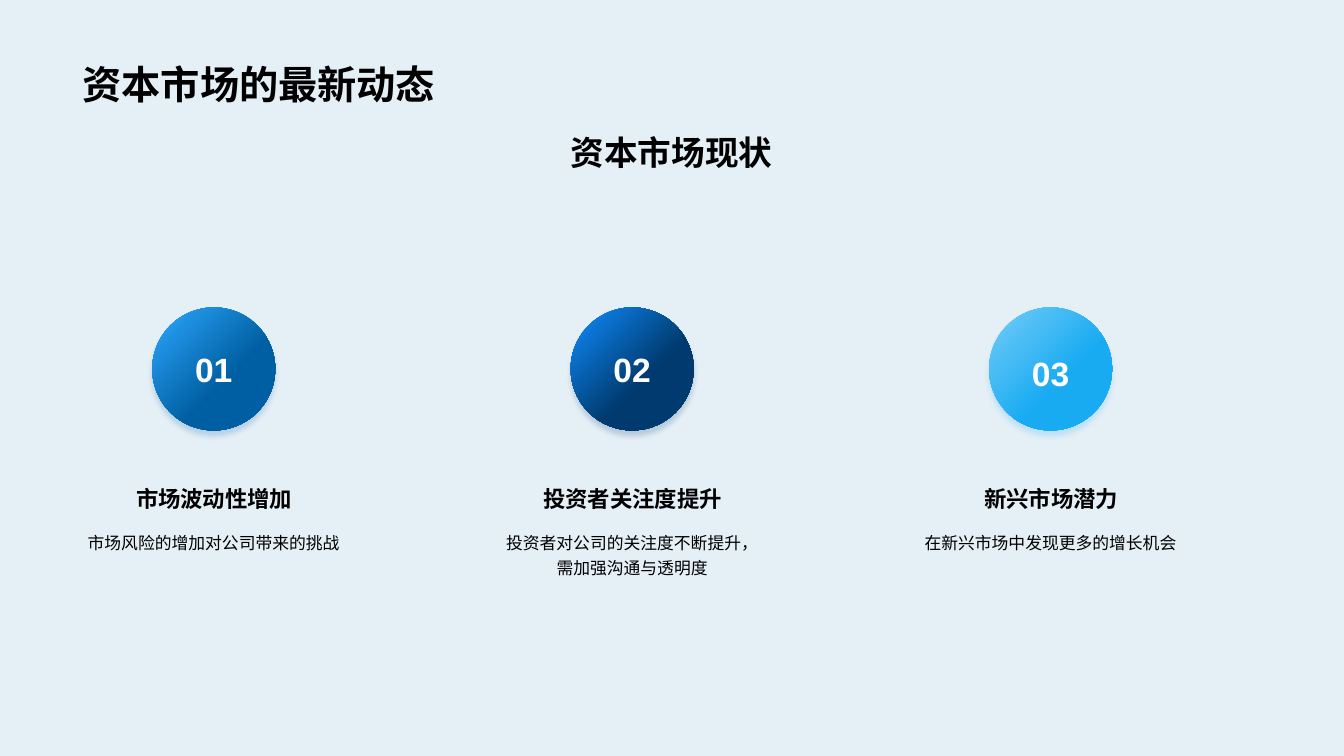
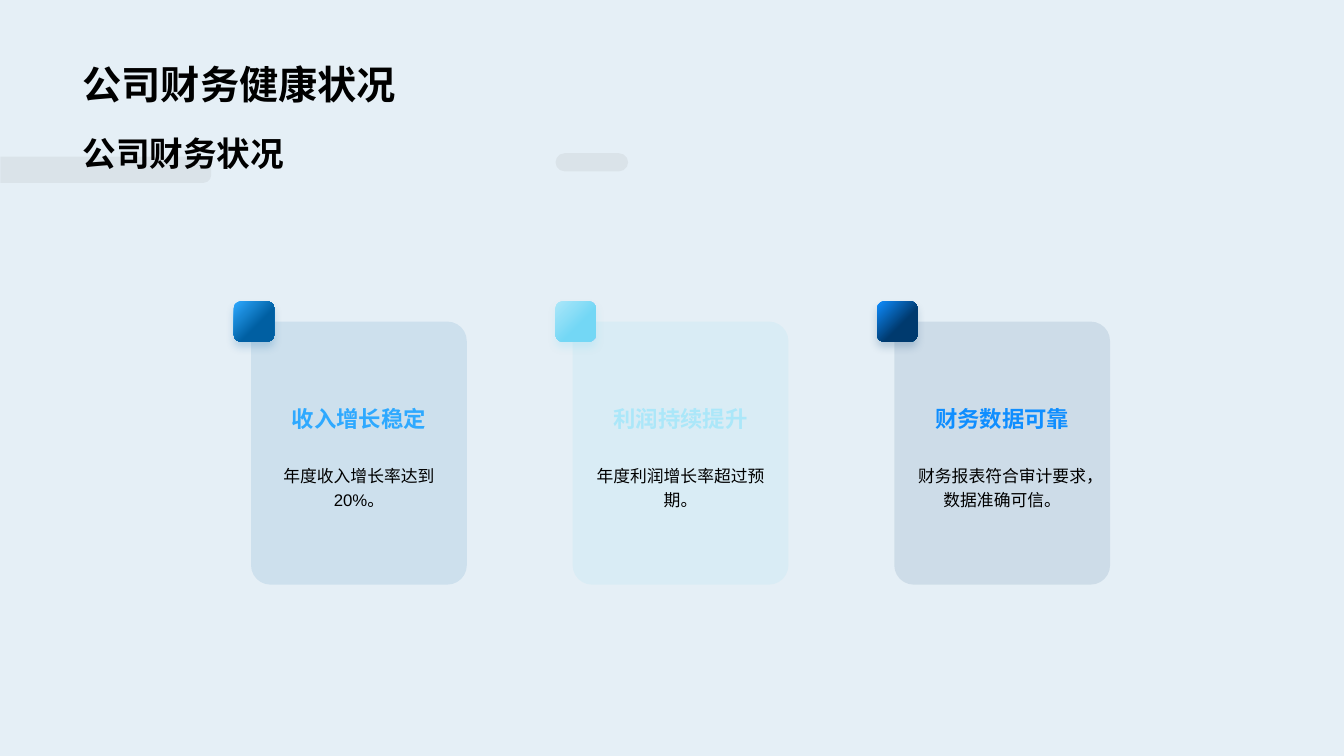
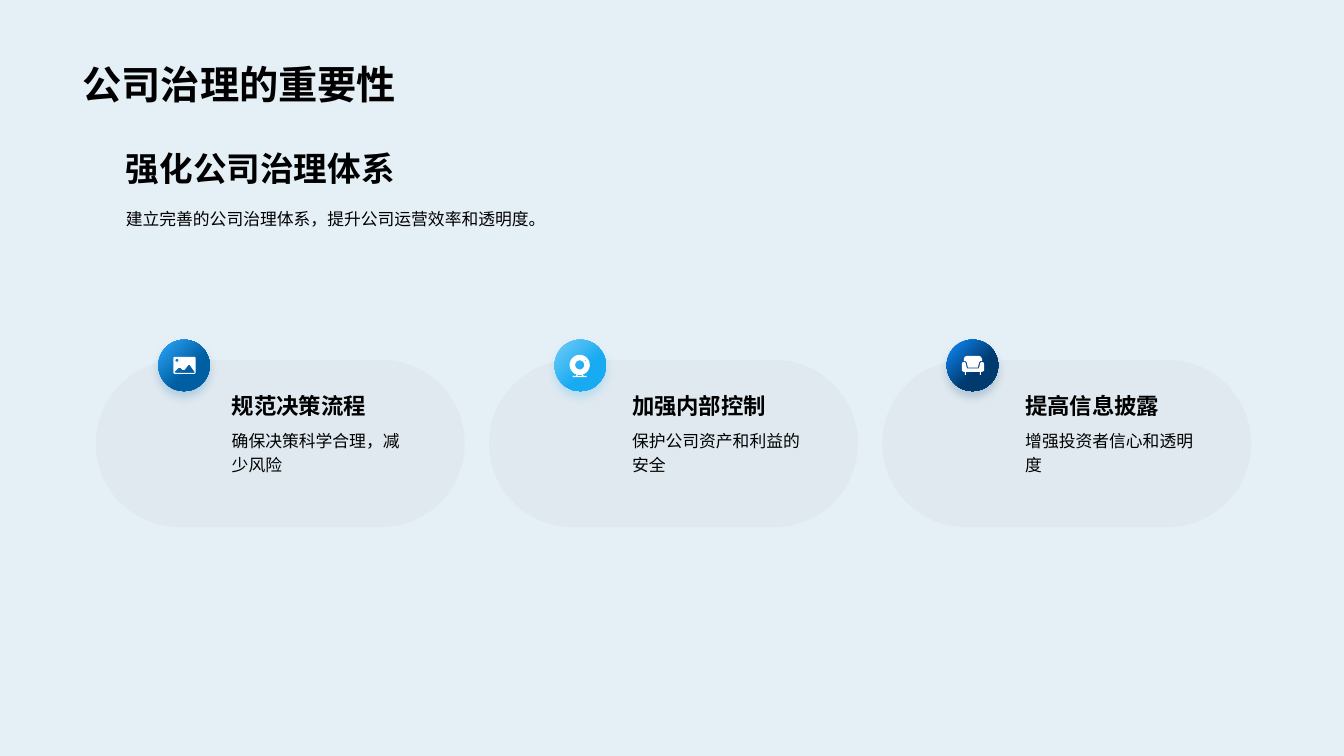
from math import cos, radians, sin

from lxml import etree
from pptx import Presentation
from pptx.dml.color import RGBColor
from pptx.enum.lang import MSO_LANGUAGE_ID
from pptx.enum.shapes import MSO_SHAPE
from pptx.enum.text import MSO_ANCHOR, MSO_AUTO_SIZE, PP_ALIGN
from pptx.oxml.ns import qn
from pptx.util import Inches, Pt

LEFT, CENTER = PP_ALIGN.LEFT, PP_ALIGN.CENTER
TOP, MIDDLE, BOTTOM = MSO_ANCHOR.TOP, MSO_ANCHOR.MIDDLE, MSO_ANCHOR.BOTTOM
NO_FIT = MSO_AUTO_SIZE.NONE
CHINESE = MSO_LANGUAGE_ID.SIMPLIFIED_CHINESE
OVAL, ROUNDED = MSO_SHAPE.OVAL, MSO_SHAPE.ROUNDED_RECTANGLE
TAB = MSO_SHAPE.ROUND_2_SAME_RECTANGLE

BACKGROUND, BLACK, WHITE, GREY = "E5EFF6", "000000", "FFFFFF", "808080"
# Each gradient runs from a light to a deep tone.
BLUE = ("2EA9FF", "005FA2")
NAVY = ("0F8EFF", "003A6E")
SKY = ("75CDF7", "19ABF2")
AQUA = ("ABE7F9", "73D7F5")

TITLE = {"size": Pt(28), "bold": True}
HEADING = {"size": Pt(24), "bold": True}
LABEL = {"size": Pt(16), "bold": True}
BODY = {"size": Pt(12), "bold": False}


def color(hex_text):
    return RGBColor.from_string(hex_text)


def arc(x, y, radius, start=0, end=360):
    """Points along an arc; angles in degrees, clockwise from the right."""
    steps = 24
    angles = [radians(start + (end - start) * i / steps) for i in range(steps + 1)]
    return [(x + radius * cos(a), y + radius * sin(a)) for a in angles]


# Icon outlines in hundredths of an inch from the corner of their disc.
PICTURE_ICON = [
    [(16, 17), (36, 17), (37, 18), (37, 33), (36, 34), (16, 34), (15, 33), (15, 18)],
    [(31, 25), (30, 25), (26, 30), (24, 30), (22, 28), (20, 28),
     (16, 32), (17, 33), (36, 33), (36, 32)],
    arc(18.5, 20.5, 1.5),
]
CAMERA_ICON = [
    arc(25, 25, 10, 107, 433)
    + [(29, 36), (32, 36), (32, 37), (18, 37), (18, 36), (21, 36)],
    [(23, 35), (22, 36), (28, 36), (27, 35)],
    arc(25, 25, 4.5),
    arc(30.5, 20.5, 0.6),
]
SOFA_ICON = [
    [(35, 22), (36.5, 22.7), (37, 24), (37, 31), (35, 32), (34, 32), (34, 35),
     (33, 35), (33, 32), (19, 32), (19, 35), (18, 35), (18, 32), (17, 32),
     (15, 31), (15, 24), (15.5, 22.7), (17, 22), (18.5, 22.7), (19, 24),
     (20, 28.5), (32, 28.5), (33, 24), (33.5, 22.7)],
    [(32, 16), (34, 17), (35, 19), (35, 21), (33, 21.5), (32, 23), (31, 27.8),
     (21, 27.8), (20, 23), (19, 21.5), (17, 21), (17, 19), (18, 17), (20, 16)],
]


class Deck:
    """Holds the shared style and the page being filled."""

    def __init__(self):
        self.file = Presentation()
        self.file.slide_width, self.file.slide_height = Inches(13.33), Inches(7.5)
        fill = self.file.slide_master.background.fill
        fill.solid()
        fill.fore_color.rgb = color(BACKGROUND)
        self.page = None

    def add_page(self, title):
        self.page = self.file.slides.add_slide(self.file.slide_layouts[5])
        box = self.page.shapes.title
        box.left, box.top, box.width, box.height = map(Inches, (0.72, 0, 11.88, 1.12))
        self.fill_text(box, title, TITLE, anchor=BOTTOM)

    def fill_text(self, box, text, style, tone=BLACK, align=LEFT, anchor=TOP,
                  wrap=True, spacing=1.0):
        frame = box.text_frame
        layout = {"auto_size": NO_FIT, "word_wrap": wrap, "vertical_anchor": anchor}
        for name, value in layout.items():
            setattr(frame, name, value)
        para = frame.paragraphs[0]
        para.alignment, para.line_spacing = align, spacing
        span = para.add_run()
        span.text = text
        for name, value in {"name": "Arial", "language_id": CHINESE, **style}.items():
            setattr(span.font, name, value)
        span.font.color.rgb = color(tone)

    def text(self, area, text, style, **options):
        box = self.page.shapes.add_textbox(*map(Inches, area))
        self.fill_text(box, text, style, **options)

    def shape(self, kind, area, adjustments=()):
        shape = self.page.shapes.add_shape(kind, *map(Inches, area))
        shape.shadow.inherit = False
        shape.line.fill.background()
        for index, value in enumerate(adjustments):
            shape.adjustments[index] = value
        return shape

    def panel(self, kind, area, tone, opacity, adjustments=()):
        """A see-through shape; opacity in percent."""
        shape = self.shape(kind, area, adjustments)
        shape.fill.solid()
        shape.fill.fore_color.rgb = color(tone)
        paint = shape._element.spPr.find(qn("a:solidFill"))[0]
        etree.SubElement(paint, qn("a:alpha"), val=str(opacity * 1000))
        return shape

    def badge(self, kind, area, tones, blur):
        """A gradient shape with a soft shadow straight below it."""
        shape = self.shape(kind, area)
        shape.fill.gradient()
        shape.fill.gradient_angle = 315
        for stop, tone, position in zip(shape.fill.gradient_stops, tones, (0, 0.6)):
            stop.color.rgb = color(tone)
            stop.position = position
        effects = shape._element.spPr.find(qn("a:effectLst"))
        shadow = etree.SubElement(effects, qn("a:outerShdw"), blurRad=str(Pt(blur)),
                                  dist=str(Pt(4)), dir="5400000", algn="t",
                                  rotWithShape="0")
        paint = etree.SubElement(shadow, qn("a:srgbClr"), val=tones[1])
        etree.SubElement(paint, qn("a:alpha"), val="20000")

    def icon(self, left, top, outlines):
        builder = None
        for outline in outlines:
            first, *rest = [(x * 10, y * 10) for x, y in outline]
            if builder is None:
                builder = self.page.shapes.build_freeform(*first, scale=Inches(0.001))
            else:
                builder.move_to(*first)
            builder.add_line_segments(rest, close=True)
        shape = builder.convert_to_shape(Inches(left), Inches(top))
        shape.shadow.inherit = False
        shape.fill.solid()
        shape.fill.fore_color.rgb = color(WHITE)
        shape.line.fill.background()


def market_page(deck):
    deck.add_page("资本市场的最新动态")
    deck.text((0.73, 1.26, 11.86, 0.5), "资本市场现状", HEADING, align=CENTER)
    trends = [
        ("01", BLUE, 3.41, "市场波动性增加", "市场风险的增加对公司带来的挑战"),
        ("02", NAVY, 3.41, "投资者关注度提升", "投资者对公司的关注度不断提升，需加强沟通与透明度"),
        ("03", SKY, 3.45, "新兴市场潜力", "在新兴市场中发现更多的增长机会"),
    ]
    for column, (number, tones, number_top, label, detail) in enumerate(trends):
        left = 0.72 + 4.15 * column
        deck.badge(OVAL, (left + 0.79, 3.05, 1.22, 1.22), tones, blur=4)
        deck.text((left + 1.11, number_top, 0.58, 0.5), number, HEADING, tone=WHITE,
                  align=CENTER, anchor=BOTTOM, wrap=False)
        deck.text((left + 0.31, 4.73, 2.19, 0.4), label, LABEL,
                  align=CENTER, anchor=BOTTOM, wrap=False)
        deck.text((left, 5.2, 2.8, 0.56), detail, BODY, align=CENTER, spacing=1.2)


def finance_page(deck):
    deck.add_page("公司财务健康状况")
    bar = deck.panel(TAB, (0.92, 0.64, 0.26, 2.09), GREY, 10, (0.3, 0))
    bar.rotation = 90
    deck.panel(ROUNDED, (5.51, 1.52, 0.72, 0.18), GREY, 10, (0.5,))
    deck.text((0.72, 0.96, 5.57, 0.81), "公司财务状况", HEADING, anchor=BOTTOM)
    findings = [
        (BLUE, "收入增长稳定", "年度收入增长率达到20%。"),
        (AQUA, "利润持续提升", "年度利润增长率超过预期。"),
        (NAVY, "财务数据可靠", "财务报表符合审计要求，数据准确可信。"),
    ]
    for column, (tones, label, detail) in enumerate(findings):
        left = 2.49 + 3.19 * column
        deck.panel(ROUNDED, (left, 3.19, 2.14, 2.61), tones[1], 10, (0.09,))
        deck.badge(ROUNDED, (left - 0.17, 2.99, 0.4, 0.4), tones, blur=6)
        deck.text((left + 0.13, 3.89, 1.88, 0.44), label, LABEL, tone=tones[0],
                  align=CENTER, anchor=BOTTOM, wrap=False)
        deck.text((left + 0.13, 4.49, 1.88, 0.66), detail, BODY,
                  align=CENTER, anchor=MIDDLE, spacing=1.2)


def governance_page(deck):
    deck.add_page("公司治理的重要性")
    deck.text((1.15, 1.42, 5.74, 0.5), "强化公司治理体系", HEADING, anchor=BOTTOM)
    deck.text((1.15, 1.98, 5.74, 0.32),
              "建立完善的公司治理体系，提升公司运营效率和透明度。", BODY, spacing=1.2)
    measures = [
        (BLUE, PICTURE_ICON, 1.57, 2.2, "规范决策流程", "确保决策科学合理，减少风险"),
        (SKY, CAMERA_ICON, 5.5, 6.17, "加强内部控制", "保护公司资产和利益的安全"),
        (NAVY, SOFA_ICON, 9.39, 10.07, "提高信息披露", "增强投资者信心和透明度"),
    ]
    for column, (tones, icon, disc_left, text_left, label, detail) in enumerate(measures):
        deck.panel(ROUNDED, (0.95 + 3.9 * column, 3.57, 3.66, 1.66), GREY, 5, (0.5,))
        deck.badge(OVAL, (disc_left, 3.37, 0.51, 0.51), tones, blur=6)
        deck.icon(disc_left, 3.37, icon)
        deck.text((text_left, 3.84, 1.99, 0.37), label, LABEL, anchor=BOTTOM, wrap=False)
        deck.text((text_left, 4.18, 1.99, 0.56), detail, BODY, spacing=1.2)


def main():
    deck = Deck()
    market_page(deck)
    finance_page(deck)
    governance_page(deck)
    deck.file.save("out.pptx")


if __name__ == "__main__":
    main()
